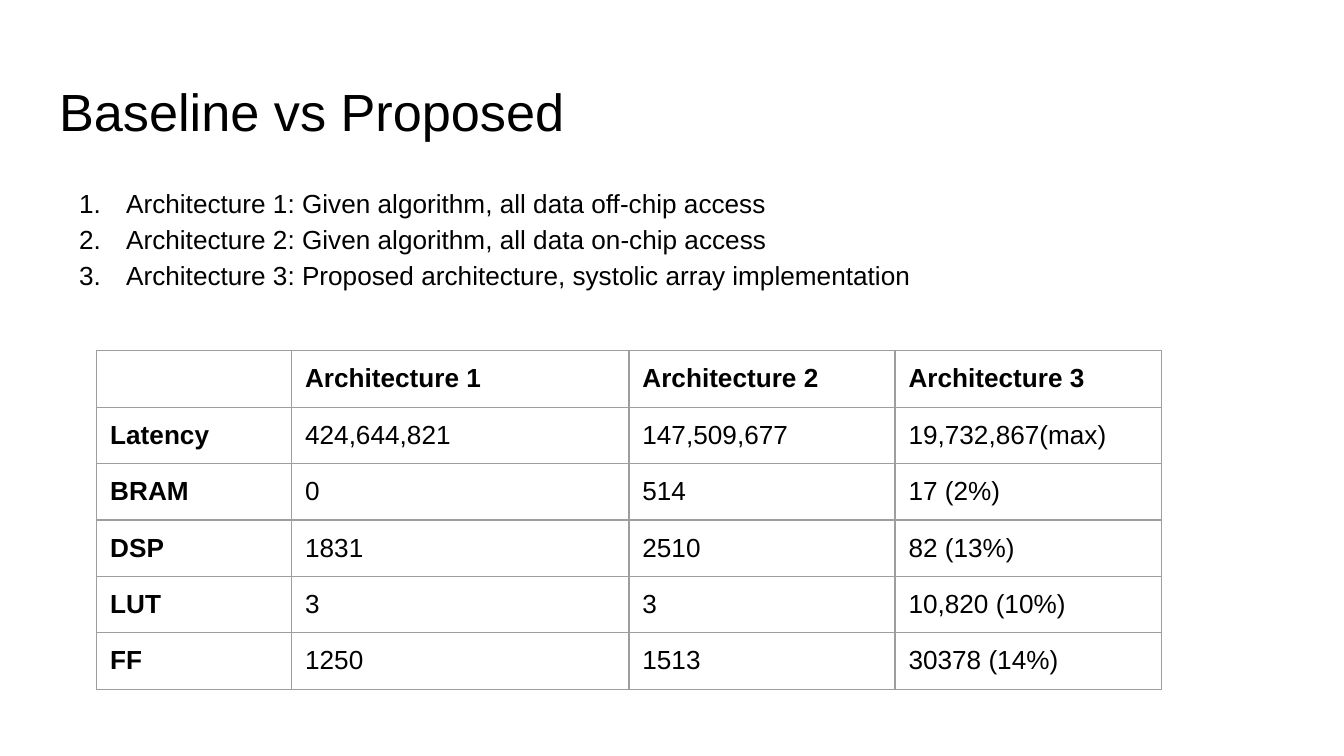
"""Build the slide comparing baseline and proposed architectures."""
import pptx
import pptx.dml.color
import pptx.enum.text
import pptx.oxml.ns
import pptx.util
from lxml import etree

BLACK = pptx.dml.color.RGBColor(0x00, 0x00, 0x00)
BORDER_GREY = pptx.dml.color.RGBColor(0x9E, 0x9E, 0x9E)
FONT = "Arial"
TITLE_SIZE, TEXT_SIZE = 28, 14
WIDTH = 10
HEIGHT = WIDTH * 9 / 16
MARGIN = 0.034 * WIDTH
INSET = 0.1

TITLE = "Baseline vs Proposed"
ARCHITECTURES = [
    "Architecture 1: Given algorithm, all data off-chip access",
    "Architecture 2: Given algorithm, all data on-chip access",
    "Architecture 3: Proposed architecture, systolic array implementation",
]
RESULTS = [
    ("", "Architecture 1", "Architecture 2", "Architecture 3"),
    ("Latency", "424,644,821", "147,509,677", "19,732,867(max)"),
    ("BRAM", "0", "514", "17 (2%)"),
    ("DSP", "1831", "2510", "82 (13%)"),
    ("LUT", "3", "3", "10,820 (10%)"),
    ("FF", "1250", "1513", "30378 (14%)"),
]
COLUMN_WIDTHS = (1.45, 2.51, 1.98, 1.98)
ROW_HEIGHT = 0.42


def inches(*lengths):
    return [pptx.util.Inches(length) for length in lengths]


def add_element(parent, tag, **attributes):
    return etree.SubElement(parent, pptx.oxml.ns.qn(tag), **attributes)


def add_span(para, text, size, bold=False):
    span = para.add_run()
    span.text = text
    span.font.name = FONT
    span.font.size = pptx.util.Pt(size)
    span.font.bold = bold
    span.font.color.rgb = BLACK


def set_insets(target):
    for side in ("left", "top", "right", "bottom"):
        setattr(target, f"margin_{side}", pptx.util.Inches(INSET))


def place_frame(box):
    frame = box.text_frame
    frame.word_wrap = True
    frame.auto_size = pptx.enum.text.MSO_AUTO_SIZE.NONE
    frame.vertical_anchor = pptx.enum.text.MSO_ANCHOR.TOP
    set_insets(frame)
    return frame


def add_title(page):
    box = page.shapes.title
    box.left, box.top, box.width, box.height = inches(MARGIN, 0.49, WIDTH - 2 * MARGIN, 0.63)
    para = place_frame(box).paragraphs[0]
    para.alignment = pptx.enum.text.PP_ALIGN.LEFT
    add_span(para, TITLE, TITLE_SIZE)


def add_numbered_list(page):
    box = page.shapes.add_textbox(*inches(MARGIN, 1.26, WIDTH - 2 * MARGIN, 3.74))
    frame = place_frame(box)
    for index, text in enumerate(ARCHITECTURES):
        para = frame.add_paragraph() if index else frame.paragraphs[0]
        para.line_spacing = 1.15
        properties = para._p.get_or_add_pPr()
        indent, hanging = inches(0.5, -0.35)
        properties.set("marL", str(indent))
        properties.set("indent", str(hanging))
        colour = add_element(properties, "a:buClr")
        add_element(colour, "a:srgbClr", val=str(BLACK))
        add_element(properties, "a:buFont", typeface=FONT)
        add_element(properties, "a:buAutoNum", type="arabicPeriod")
        add_span(para, text, TEXT_SIZE)


def draw_borders(cell):
    properties = cell._tc.get_or_add_tcPr()
    for side in ("L", "R", "T", "B"):
        line = add_element(properties, f"a:ln{side}", w=str(pptx.util.Pt(0.75)))
        fill = add_element(line, "a:solidFill")
        add_element(fill, "a:srgbClr", val=str(BORDER_GREY))


def add_results_table(page):
    area = inches(0.72, 2.61, sum(COLUMN_WIDTHS), ROW_HEIGHT * len(RESULTS))
    table = page.shapes.add_table(len(RESULTS), len(COLUMN_WIDTHS), *area).table
    table.first_row = table.horz_banding = False
    for column, width in zip(table.columns, COLUMN_WIDTHS):
        column.width = pptx.util.Inches(width)
    for row_index, values in enumerate(RESULTS):
        table.rows[row_index].height = pptx.util.Inches(ROW_HEIGHT)
        for column_index, value in enumerate(values):
            cell = table.cell(row_index, column_index)
            set_insets(cell)
            draw_borders(cell)
            cell.fill.background()
            para = cell.text_frame.paragraphs[0]
            if value:
                add_span(para, value, TEXT_SIZE, row_index == 0 or column_index == 0)
            else:
                ending = add_element(para._p, "a:endParaRPr", sz=str(TEXT_SIZE * 100))
                add_element(ending, "a:latin", typeface=FONT)


def main():
    deck = pptx.Presentation()
    deck.slide_width, deck.slide_height = inches(WIDTH, HEIGHT)
    page = deck.slides.add_slide(deck.slide_layouts[5])
    add_title(page)
    add_numbered_list(page)
    add_results_table(page)
    deck.save("out.pptx")


if __name__ == "__main__":
    main()
